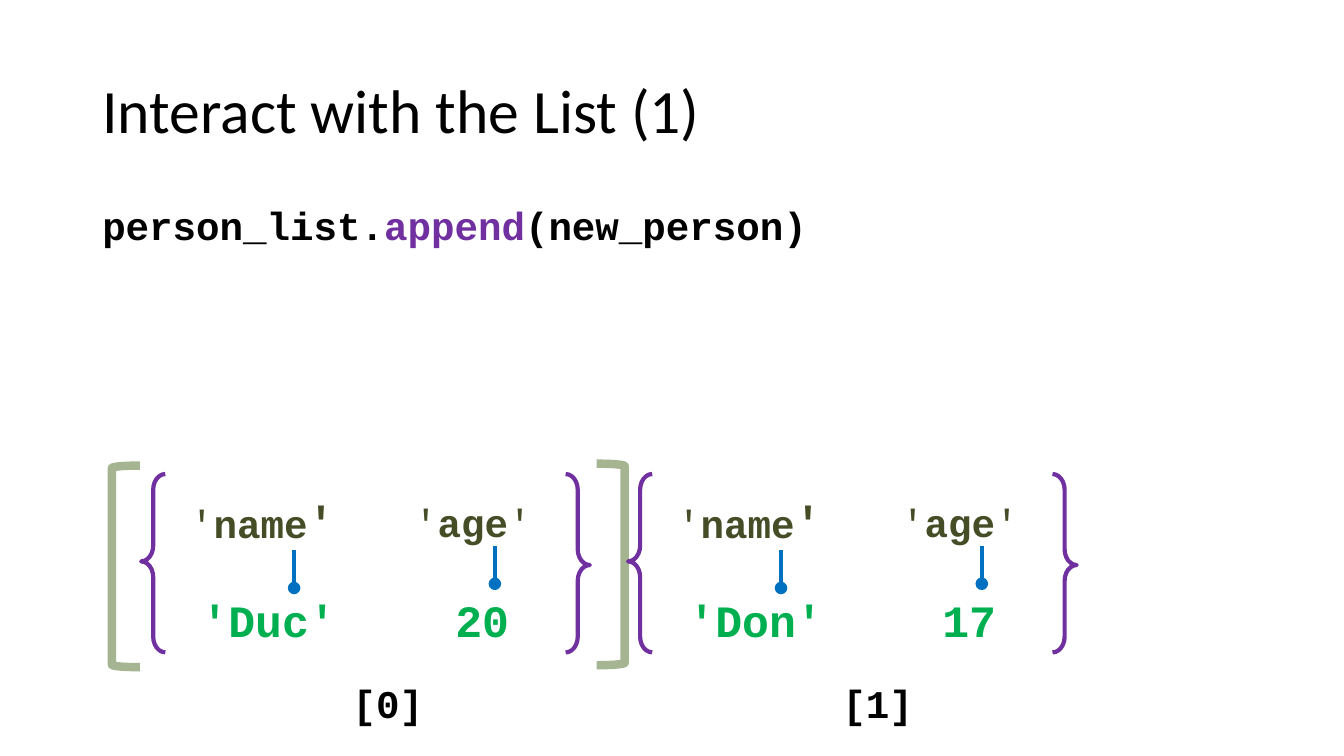
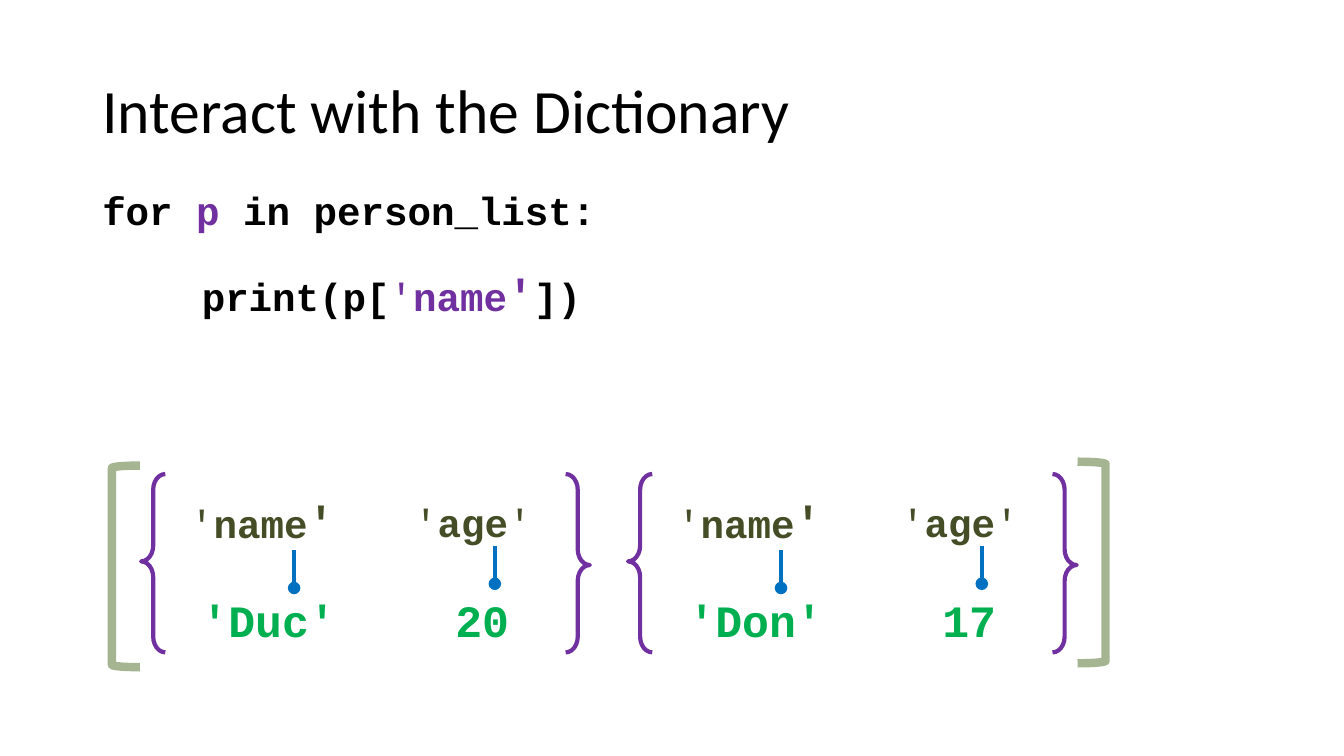
from lxml import etree
from pptx import Presentation
from pptx.dml.color import RGBColor
from pptx.enum import shapes as sh, text as tx
from pptx.oxml import ns
from pptx.util import Pt

BLACK = RGBColor(0x00, 0x00, 0x00)
PURPLE = RGBColor(0x70, 0x30, 0xA0)
GREEN = RGBColor(0x00, 0xB0, 0x50)
BLUE = RGBColor(0x00, 0x70, 0xC0)
OLIVE = RGBColor(0x44, 0x4D, 0x26)
SAGE = RGBColor(0xA5, 0xB5, 0x92)

TITLE_FONT, CODE_FONT = "Calibri", "Courier New"
MARGIN, CONTENT_WIDTH = 66, 828
ENTRY_TOP, ENTRY_HEIGHT = 338.6, 127.4
ENTRY_LEFTS = (100.8, 448.6)
BRACE_WIDTH = 17.3
PEOPLE = (("'Duc'", "20"), ("'Don'", "17"))


def add_titled_slide(prs, title):
    """Title-only slide with the shared title style."""
    slide = prs.slides.add_slide(prs.slide_layouts[5])
    heading = slide.shapes.title
    heading.left, heading.top = Pt(MARGIN), Pt(28.8)
    heading.width, heading.height = Pt(CONTENT_WIDTH), Pt(104.4)
    frame = heading.text_frame
    frame.text = title
    frame.vertical_anchor = tx.MSO_ANCHOR.MIDDLE
    frame.auto_size = tx.MSO_AUTO_SIZE.NONE
    line = frame.paragraphs[0]
    line.alignment = tx.PP_ALIGN.LEFT
    line.line_spacing = 0.9
    line.font.name, line.font.size = TITLE_FONT, Pt(44)
    line.font.color.rgb = BLACK
    return slide


def add_code(parts, left, top, width, height, runs, color=BLACK, size=28, wrap=False):
    """One line of code; each run is its text plus any font differences."""
    box = parts.add_textbox(Pt(left), Pt(top), Pt(width), Pt(height))
    frame = box.text_frame
    frame.word_wrap = wrap
    if not wrap:
        frame.auto_size = tx.MSO_AUTO_SIZE.SHAPE_TO_FIT_TEXT
    line = frame.paragraphs[0]
    if wrap:
        line.line_spacing = 0.9
    line.font.name, line.font.size = CODE_FONT, Pt(size)
    line.font.bold = True
    line.font.color.rgb = color
    for words, changes in runs:
        run = line.add_run()
        run.text = words
        font = run.font
        font.name = CODE_FONT
        font.size = Pt(changes.get("size", size))
        font.bold = changes.get("bold", True)
        font.color.rgb = changes.get("color", color)


def add_statement(slide, left, top, height, runs):
    add_code(slide.shapes, left, top, CONTENT_WIDTH, height, runs, wrap=True)


def add_outline(parts, kind, left, top, width, height, color, weight):
    """Unfilled brace or bracket."""
    outline = parts.add_shape(kind, Pt(left), Pt(top), Pt(width), Pt(height))
    outline.shadow.inherit = False
    outline.fill.background()
    outline.line.color.rgb = color
    outline.line.width = Pt(weight)
    return outline


def add_key_link(parts, x, top, bottom):
    """Line from a key to its value, ending in a dot."""
    link = parts.add_connector(sh.MSO_CONNECTOR.STRAIGHT, Pt(x), Pt(top), Pt(x), Pt(bottom))
    link.line.color.rgb = BLUE
    link.line.width = Pt(3)
    properties = link._element.spPr
    etree.SubElement(link.line._get_or_add_ln(), ns.qn("a:tailEnd"), type="oval")
    etree.SubElement(properties, ns.qn("a:effectLst"))


def add_entry(slide, left, top, name, age):
    """One dictionary: two keys with their values, between braces."""
    parts = slide.shapes.add_group_shape().shapes
    for offset, angle in ((0, 0), (303.2, 180)):
        brace = add_outline(parts, sh.MSO_SHAPE.LEFT_BRACE, left + offset, top,
                            BRACE_WIDTH, ENTRY_HEIGHT, PURPLE, 3)
        brace.adjustments[0], brace.adjustments[1] = 0.65, 0.49
        brace.rotation = angle
    # Keys
    add_code(parts, left + 28, top + 10.8, 118.8, 46,
             [("'", {"bold": False}), ("name", {}), ("'", {"size": 32})], OLIVE)
    add_code(parts, left + 188, top + 14, 99.4, 41,
             [("'", {"bold": False}), ("age", {}), ("'", {"bold": False})], OLIVE)
    # Values
    for value, offset, width in ((name, 36, 111.6), (age, 217.4, 53.3)):
        add_code(parts, left + offset, top + 81.2, width, 46, [(value, {})], GREEN, 32)
    # Links
    for x, start in ((109.3, 54.4), (252.7, 51.4)):
        add_key_link(parts, left + x, top + start, top + start + 27)


def add_entries(slide):
    for left, (name, age) in zip(ENTRY_LEFTS, PEOPLE):
        add_entry(slide, left, ENTRY_TOP, name, age)


def add_list_brackets(slide, right, right_top):
    """Brackets of the list; the closing one moves as the list grows."""
    for kind, left, top in ((sh.MSO_SHAPE.LEFT_BRACKET, 80, 332.6),
                            (sh.MSO_SHAPE.RIGHT_BRACKET, right, right_top)):
        add_outline(slide.shapes, kind, left, top, 20, 144, SAGE, 6)


def add_indexes(slide):
    for index, left in enumerate((244.8, 594.7)):
        add_code(slide.shapes, left, 481.7, 65.5, 41, [(f"[{index}]", {})])


def build_list_slide(prs):
    slide = add_titled_slide(prs, "Interact with the List (1)")
    add_list_brackets(slide, 426.2, 331.2)
    add_statement(slide, MARGIN, 144, 82.8,
                  [("person_list.", {}), ("append", {"color": PURPLE}), ("(new_person)", {})])
    add_entries(slide)
    add_indexes(slide)


def build_dictionary_slide(prs):
    slide = add_titled_slide(prs, "Interact with the Dictionary")
    add_entries(slide)
    add_list_brackets(slide, 769.7, 329.8)
    add_statement(slide, MARGIN, 133, 46,
                  [("for ", {}), ("p", {"color": PURPLE}), (" in person_list:", {})])
    add_statement(slide, 70, 191, 46,
                  [("    print(p[", {}), ("'", {"color": PURPLE, "bold": False}),
                   ("name", {"color": PURPLE}), ("'", {"color": PURPLE, "size": 32}),
                   ("])", {})])


def main():
    prs = Presentation()
    prs.slide_width, prs.slide_height = Pt(960), Pt(540)
    build_list_slide(prs)
    build_dictionary_slide(prs)
    prs.save("out.pptx")


if __name__ == "__main__":
    main()
